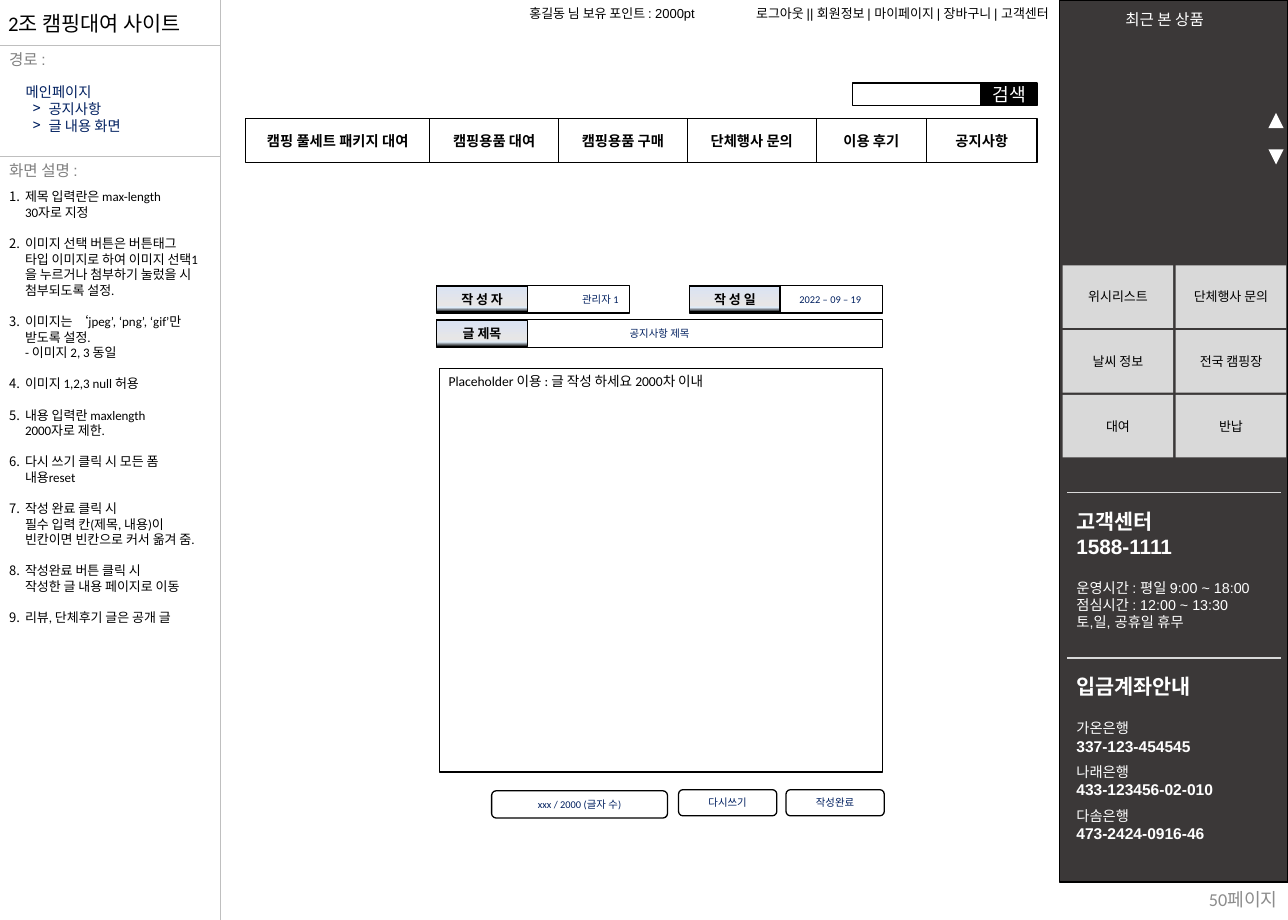
from lxml.etree import SubElement
from pptx import Presentation
from pptx.dml.color import RGBColor
from pptx.enum.shapes import MSO_CONNECTOR, MSO_SHAPE
from pptx.enum.text import MSO_ANCHOR, MSO_AUTO_SIZE, PP_ALIGN
from pptx.oxml.ns import qn
from pptx.util import Cm, Pt

BLACK, WHITE, NAVY = "000000", "FFFFFF", "002060"
GRAY, TILE, RULE = "808080", "D9D9D9", "BFBFBF"
LEFT, CENTER, RIGHT = PP_ALIGN.LEFT, PP_ALIGN.CENTER, PP_ALIGN.RIGHT
TOP, MIDDLE = MSO_ANCHOR.TOP, MSO_ANCHOR.MIDDLE
LABEL_STOPS = [(0, "DAE3F3"), (74, "E7E6E6"), (83, "DEEBF7"), (100, BLACK)]

MENU = [("캠핑 풀세트 패키지 대여", 5), ("캠핑용품 대여", 3.5), ("캠핑용품 구매", 3.5),
        ("단체행사 문의", 3.5), ("이용 후기", 3), ("공지사항", 3)]
TILES = ["위시리스트", "단체행사 문의", "날씨 정보", "전국 캠핑장", "대여", "반납"]
NOTES = [
    "제목 입력란은 max-length\v30자로 지정",
    "이미지 선택 버튼은 버튼태그\v타입 이미지로 하여 이미지 선택1\v을 누르거나 첨부하기 눌렀을 시\v첨부되도록 설정.",
    "이미지는 ‘jpeg’, ‘png’, ‘gif’만\v받도록 설정.\v- 이미지 2, 3 동일",
    "이미지 1,2,3 null 허용",
    "내용 입력란 maxlength\v2000자로 제한.",
    "다시 쓰기 클릭 시 모든 폼\v내용reset",
    "작성 완료 클릭 시\v필수 입력 칸(제목, 내용)이\v빈칸이면 빈칸으로 커서 옮겨 줌.",
    "작성완료 버튼 클릭 시\v작성한 글 내용 페이지로 이동",
    "리뷰, 단체후기 글은 공개 글",
]
SUPPORT = [("고객센터", 16, True, 0), ("1588-1111", 16, True, 0),
           ("운영시간 : 평일 9:00 ~ 18:00", 11, False, 16),
           ("점심시간 : 12:00 ~ 13:30", 11, False, 0), ("토,일, 공휴일 휴무", 11, False, 0)]
ACCOUNTS = [("입금계좌안내", 16, True, 0),
            ("가온은행", 11, False, 16), ("337-123-454545", 12, True, 0),
            ("나래은행", 11, False, 6), ("433-123456-02-010", 12, True, 0),
            ("다솜은행", 11, False, 6), ("473-2424-0916-46", 12, True, 0)]


def color(value):
    """Turn a hex string into a colour."""
    return RGBColor.from_string(value)


class Wireframe:
    """Draw the elements of a page wireframe on one slide."""

    def __init__(self, slide):
        """Keep the slide that is drawn on."""
        self.slide = slide

    def style(self, paragraph, size, ink, font="Arial", bold=False, align=LEFT, before=0):
        """Format one paragraph with its runs and line breaks."""
        paragraph.alignment = align
        paragraph.space_before = Pt(before)
        for run in paragraph.runs:
            run.font.size, run.font.name, run.font.bold = Pt(size), font, bold
            run.font.color.rgb = color(ink)
        for line_break in paragraph._p.findall(qn("a:br")):
            SubElement(line_break, qn("a:rPr"), sz=str(int(size * 100)))

    def frame(self, shape, anchor=TOP, insets=(0.25, 0.13, 0.25, 0.13)):
        """Set wrapping, anchor and insets of a shape's text."""
        frame = shape.text_frame
        frame.word_wrap, frame.auto_size = True, MSO_AUTO_SIZE.NONE
        frame.vertical_anchor = anchor
        (frame.margin_left, frame.margin_top,
         frame.margin_right, frame.margin_bottom) = map(Cm, insets)
        return frame

    def label(self, shape, text, size, ink, anchor=MIDDLE, insets=(0, 0, 0, 0), **look):
        """Fill a shape with uniformly styled text."""
        frame = self.frame(shape, anchor, insets)
        frame.text = text
        for paragraph in frame.paragraphs:
            self.style(paragraph, size, ink, **look)
        return frame

    def text(self, box, text, size, ink, **look):
        """Add a text box."""
        return self.label(self.slide.shapes.add_textbox(*map(Cm, box)), text, size, ink, **look)

    def panel_text(self, box, lines):
        """Add a text box whose lines each have their own size, weight and gap."""
        frame = self.frame(self.slide.shapes.add_textbox(*map(Cm, box)))
        frame.text = "\n".join(line[0] for line in lines)
        for paragraph, (_, size, bold, before) in zip(frame.paragraphs, lines):
            self.style(paragraph, size, WHITE, bold=bold, before=before)

    def placeholder(self, shape, box, text, size, **look):
        """Move, fill and format a placeholder."""
        shape.left, shape.top, shape.width, shape.height = map(Cm, box)
        return self.label(shape, text, size, BLACK, font="Calibri", **look)

    def shape(self, box, kind=MSO_SHAPE.RECTANGLE, fill=None, line=BLACK):
        """Add a preset shape."""
        shape = self.slide.shapes.add_shape(kind, *map(Cm, box))
        shape.shadow.inherit = False
        if fill:
            shape.fill.solid()
            shape.fill.fore_color.rgb = color(fill)
        else:
            shape.fill.background()
        if line:
            shape.line.color.rgb = color(line)
            shape.line.width = Pt(1)
        else:
            shape.line.fill.background()
        return shape

    def line(self, start, end, ink, width):
        """Add a straight line."""
        line = self.slide.shapes.add_connector(MSO_CONNECTOR.STRAIGHT, *map(Cm, start + end))
        line.line.color.rgb, line.line.width = color(ink), Pt(width)
        SubElement(line._element.spPr, qn("a:effectLst"))

    def bullet(self, paragraph, left, hanging, tag, **attributes):
        """Give a paragraph a hanging bullet or number."""
        properties = paragraph._p.get_or_add_pPr()
        properties.set("marL", str(Cm(left)))
        properties.set("indent", str(-Cm(hanging)))
        SubElement(properties, qn(tag), **attributes)

    def field(self, left, top, width, name, value, align, inset=0):
        """Add a form field with a shaded label."""
        self.label(self.shape((left, top, width, 0.76)), value, 8, NAVY,
                   font="Calibri", align=align, insets=(0, 0, inset, 0))
        tag = self.shape((left, top + 0.02, 2.46, 0.71))
        tag.fill.gradient()
        tag.fill.gradient_angle = 270
        stops = tag._element.spPr.find(qn("a:gradFill")).find(qn("a:gsLst"))
        for stop in list(stops):
            stops.remove(stop)
        for position, shade in LABEL_STOPS:
            stop = SubElement(stops, qn("a:gs"), pos=str(position * 1000))
            SubElement(stop, qn("a:srgbClr"), val=shade)
        self.label(tag, name, 10, BLACK, font="Calibri", bold=True, align=CENTER)

    def button(self, box, text):
        """Add a rounded button."""
        self.label(self.shape(box, MSO_SHAPE.ROUNDED_RECTANGLE), text, 8, NAVY,
                   font="Calibri", align=CENTER)


def draw_description(page):
    """Draw the left column with title, path and notes."""
    title, body = page.slide.placeholders
    page.placeholder(title, (0, 0.15, 5.95, 0.94), "2조 캠핑대여 사이트", 16,
                     insets=(0.22, 0, 0, 0))
    for top, text in ((1.24, "경로 :"), (4.24, "화면 설명 :")):
        page.line((0, top), (5.99, top), RULE, 0.5)
        page.text((0, top, 5.4, 0.77), text, 12, GRAY, insets=(0.25, 0, 0, 0))
    page.line((5.99, 0), (5.99, 25), RULE, 0.5)
    path = page.text((0.7, 1.83, 5.2, 2.26), "메인페이지\n공지사항\n글 내용 화면", 11, NAVY,
                     font="Calibri")
    for paragraph in path.paragraphs[1:]:
        page.bullet(paragraph, 0.62, 0.43, "a:buChar", char=">")
    notes = page.placeholder(body, (0, 5, 6, 12.22), "\n".join(NOTES), 10, anchor=TOP,
                             insets=(0.25, 0.13, 0, 0.13), before=12)
    notes.paragraphs[0].space_before = Pt(0)
    for paragraph in notes.paragraphs:
        page.bullet(paragraph, 0.43, 0.43, "a:buAutoNum", type="arabicPeriod")


def draw_header(page):
    """Draw the account links, search box and menu."""
    page.text((13.4, 0.03, 5.48, 0.69), "홍길동 님 보유 포인트 : 2000pt", 10, BLACK, align=RIGHT)
    page.text((19, 0.03, 9.5, 0.69), "로그아웃 || 회원정보 | 마이페이지 | 장바구니 | 고객센터",
              10, BLACK, align=RIGHT)
    page.shape((23.16, 2.26, 3.5, 0.61), fill=WHITE)
    page.label(page.shape((26.66, 2.26, 1.52, 0.61), fill=BLACK), "검색", 14, WHITE,
               font="Calibri", align=CENTER)
    left = 6.68
    for text, width in MENU:
        page.label(page.shape((left, 3.22, width, 1.2)), text, 11, BLACK, bold=True, align=CENTER)
        left += width


def draw_form(page):
    """Draw the notice form with its buttons."""
    page.field(11.87, 8.69, 12.11, "글 제목", "공지사항 제목", CENTER)
    page.field(11.87, 7.75, 5.24, "작 성 자", "관리자 1", RIGHT, 0.3)
    page.field(18.74, 7.75, 5.24, "작 성 일", "2022 – 09 – 19", RIGHT, 0.57)
    page.label(page.shape((11.94, 10.01, 12.04, 10.97)),
               "Placeholder 이용 : 글 작성 하세요 2000차 이내", 10.5, BLACK,
               anchor=TOP, insets=(0.25, 0.13, 0.25, 0.13), font="Calibri")
    page.button((13.36, 21.49, 4.78, 0.74), "xxx / 2000 (글자 수)")
    for left, text in ((18.44, "다시쓰기"), (21.36, "작성완료")):
        page.button((left, 21.46, 2.67, 0.71), text)


def draw_sidebar(page):
    """Draw the dark quick menu on the right."""
    page.shape((28.8, 0, 6.2, 23.97), fill="3B3838")
    page.text((30.33, 0.15, 3.12, 0.76), "최근 본 상품", 12, WHITE, insets=(0.25, 0, 0, 0))
    for top, rotation in ((3.07, 0), (4.06, 180)):
        arrow = page.shape((34.47, top, 0.41, 0.41), MSO_SHAPE.ISOSCELES_TRIANGLE, WHITE, None)
        arrow.rotation = rotation
    for index, text in enumerate(TILES):
        row, column = divmod(index, 2)
        tile = page.shape((28.88 + 3.07 * column, 7.21 + 1.76 * row, 3, 1.7), fill=TILE, line=None)
        page.label(tile, text, 10, BLACK, align=CENTER)
    for top, height, lines in ((13.39, 3.63, SUPPORT), (17.88, 4.93, ACCOUNTS)):
        page.line((29, top), (34.8, top), TILE, 1)
        page.panel_text((29, top + 0.3, 5.8, height), lines)
    page.text((30.78, 23.93, 4.19, 0.99), "50페이지", 14, "8C8C8C", font="Calibri",
              align=RIGHT, insets=(0, 0, 0.25, 0))


def main():
    """Build and save the slide."""
    presentation = Presentation()
    presentation.slide_width, presentation.slide_height = Cm(35), Cm(25)
    page = Wireframe(presentation.slides.add_slide(presentation.slide_layouts[1]))
    for draw in (draw_description, draw_header, draw_form, draw_sidebar):
        draw(page)
    presentation.save("out.pptx")


if __name__ == "__main__":
    main()
